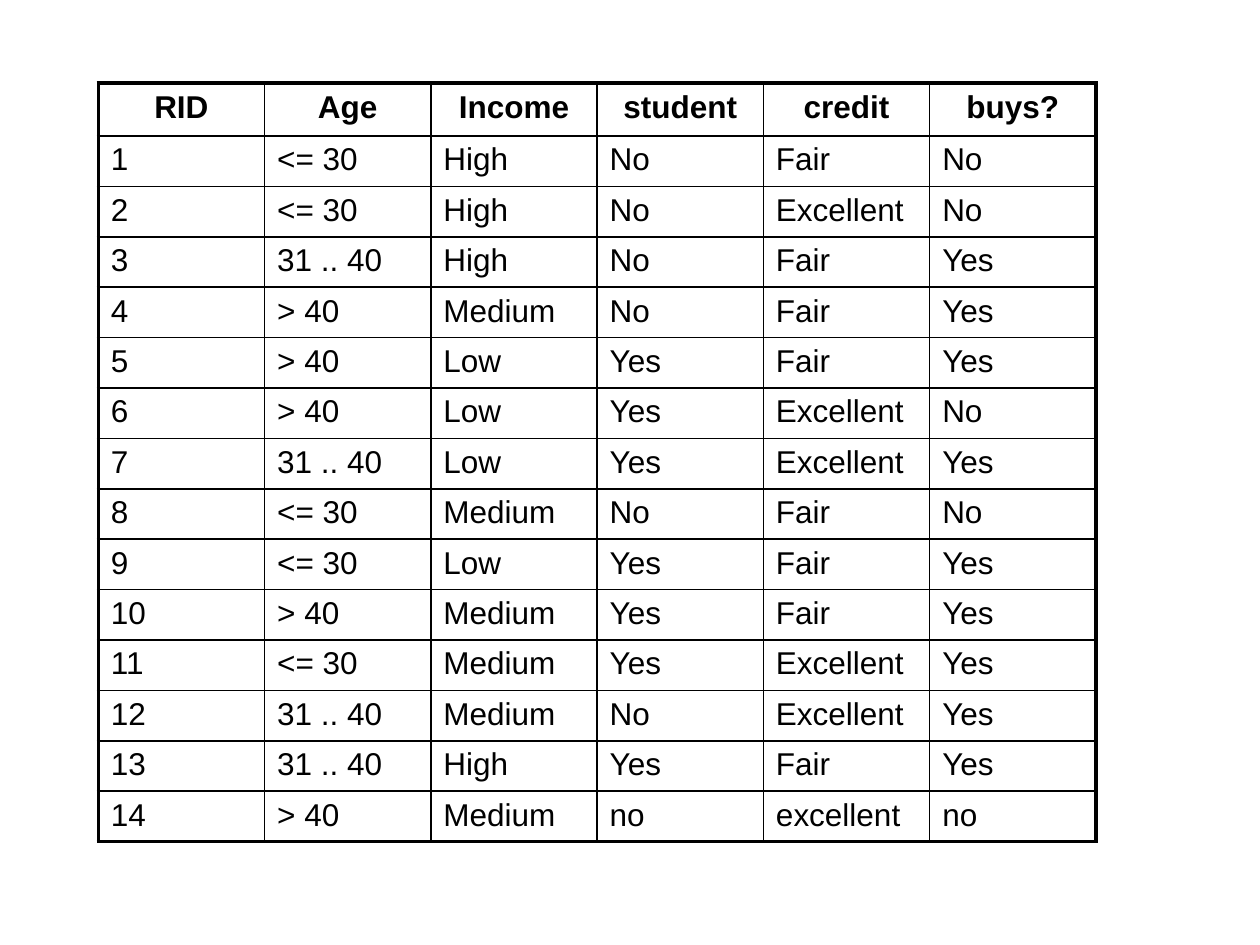
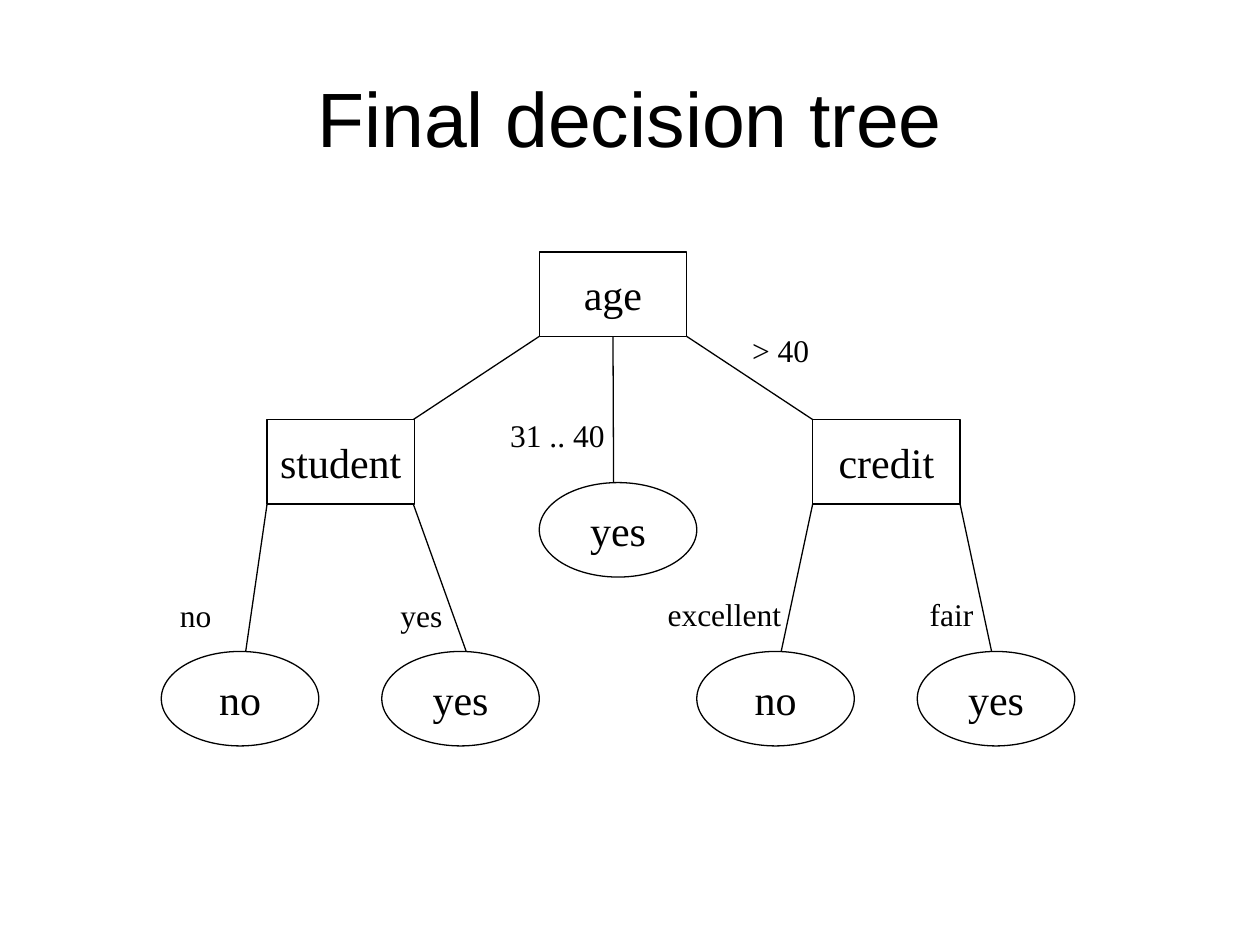
from lxml import etree
from pptx import Presentation
from pptx.dml.color import RGBColor
from pptx.enum import shapes, text
from pptx.oxml import ns
from pptx.util import Inches, Pt

BLACK = RGBColor(0, 0, 0)
SANS, SERIF = "Arial", "Times New Roman"


def set_font(p, name, size, bold=False):
    p.font.name = name
    p.font.size = Pt(size)
    p.font.bold = bold
    p.font.color.rgb = BLACK


def add_border(cell, side, width):
    tag = ns.qn(f"a:ln{side}")
    ln = etree.SubElement(cell._tc.get_or_add_tcPr(), tag, w=str(Pt(width)))
    fill = etree.SubElement(ln, ns.qn("a:solidFill"))
    etree.SubElement(fill, ns.qn("a:srgbClr"), val=str(BLACK))


prs = Presentation()
prs.slide_width, prs.slide_height = Inches(10), Inches(7.5)

s = prs.slides.add_slide(prs.slide_layouts[6])
rows = [
    ["RID", "Age", "Income", "student", "credit", "buys?"],
    ["1", "<= 30", "High", "No", "Fair", "No"],
    ["2", "<= 30", "High", "No", "Excellent", "No"],
    ["3", "31 .. 40", "High", "No", "Fair", "Yes"],
    ["4", "> 40", "Medium", "No", "Fair", "Yes"],
    ["5", "> 40", "Low", "Yes", "Fair", "Yes"],
    ["6", "> 40", "Low", "Yes", "Excellent", "No"],
    ["7", "31 .. 40", "Low", "Yes", "Excellent", "Yes"],
    ["8", "<= 30", "Medium", "No", "Fair", "No"],
    ["9", "<= 30", "Low", "Yes", "Fair", "Yes"],
    ["10", "> 40", "Medium", "Yes", "Fair", "Yes"],
    ["11", "<= 30", "Medium", "Yes", "Excellent", "Yes"],
    ["12", "31 .. 40", "Medium", "No", "Excellent", "Yes"],
    ["13", "31 .. 40", "High", "Yes", "Fair", "Yes"],
    ["14", "> 40", "Medium", "no", "excellent", "no"],
]
last_row, last_col = len(rows) - 1, len(rows[0]) - 1
table = s.shapes.add_table(len(rows), len(rows[0]), Inches(0.78), Inches(0.66),
                           Inches(7.92), Inches(6.02)).table
table.first_row = table.horz_banding = False
for col in table.columns:
    col.width = Inches(1.32)
for i, values in enumerate(rows):
    table.rows[i].height = Inches(0.42 if i == 0 else 0.4)
    for j, value in enumerate(values):
        cell = table.cell(i, j)
        outer = {"L": j == 0, "R": j == last_col, "T": i == 0, "B": i == last_row}
        for side, is_outer in outer.items():
            add_border(cell, side, 2.25 if is_outer else 1)
        cell.fill.background()
        p = cell.text_frame.paragraphs[0]
        p.text = value
        p.alignment = text.PP_ALIGN.CENTER if i == 0 else text.PP_ALIGN.LEFT
        set_font(p, SANS, 18, bold=i == 0)

s = prs.slides.add_slide(prs.slide_layouts[5])
title = s.shapes.title
title.left, title.top = Inches(0.5), Inches(0.3)
title.width, title.height = Inches(9), Inches(1.25)
tf = title.text_frame
tf.text = "Final decision tree"
tf.vertical_anchor = text.MSO_ANCHOR.MIDDLE
tf.paragraphs[0].alignment = text.PP_ALIGN.CENTER
set_font(tf.paragraphs[0], SANS, 44)

RECT, OVAL = shapes.MSO_SHAPE.RECTANGLE, shapes.MSO_SHAPE.OVAL
sizes = {RECT: (1.17, 0.67), OVAL: (1.25, 0.75)}
nodes = [
    ("age", RECT, 4.28, 2),
    ("student", RECT, 2.12, 3.33),
    ("credit", RECT, 6.45, 3.33),
    ("yes", OVAL, 4.28, 3.83),
    ("no", OVAL, 1.28, 5.17),
    ("yes", OVAL, 3.03, 5.17),
    ("no", OVAL, 5.53, 5.17),
    ("yes", OVAL, 7.28, 5.17),
]
tree = []
for label, kind, x, y in nodes:
    w, h = sizes[kind]
    sp = s.shapes.add_shape(kind, Inches(x), Inches(y), Inches(w), Inches(h))
    sp.shadow.inherit = False
    sp.fill.background()
    sp.line.color.rgb = BLACK
    sp.line.width = Pt(0.75)
    tf = sp.text_frame
    tf.word_wrap = False
    tf.vertical_anchor = text.MSO_ANCHOR.MIDDLE
    p = tf.paragraphs[0]
    p.text = label
    p.alignment = text.PP_ALIGN.CENTER
    set_font(p, SERIF, 24)
    tree.append(sp)

branches = [
    (4.28, 2.67, 3.28, 3.33),
    (4.87, 2.67, 4.87, 3.83),
    (5.45, 2.67, 6.45, 3.33),
    (2.12, 4, 1.95, 5.17),
    (3.28, 4, 3.7, 5.17),
    (6.45, 4, 6.2, 5.17),
    (7.62, 4, 7.87, 5.17),
]
for x1, y1, x2, y2 in branches:
    line = s.shapes.add_connector(shapes.MSO_CONNECTOR.STRAIGHT, Inches(x1),
                                  Inches(y1), Inches(x2), Inches(y2))
    line.line.color.rgb = BLACK
    line.line.width = Pt(0.75)
    etree.SubElement(line._element.spPr, ns.qn("a:effectLst"))
    if x1 == x2:
        line.begin_connect(tree[0], 2)

branch_labels = [
    ("31 .. 40", 3.95, 3.25, 0.95),
    ("> 40", 5.87, 2.58, 0.65),
    ("no", 1.33, 4.68, 0.45),
    ("yes", 3.08, 4.68, 0.53),
    ("excellent", 5.2, 4.67, 1.1),
    ("fair", 7.28, 4.67, 0.55),
]
for label, x, y, w in branch_labels:
    tf = s.shapes.add_textbox(Inches(x), Inches(y), Inches(w), Inches(0.4)).text_frame
    tf.word_wrap = False
    tf.auto_size = text.MSO_AUTO_SIZE.SHAPE_TO_FIT_TEXT
    tf.text = label
    set_font(tf.paragraphs[0], SERIF, 18)

prs.save("out.pptx")
